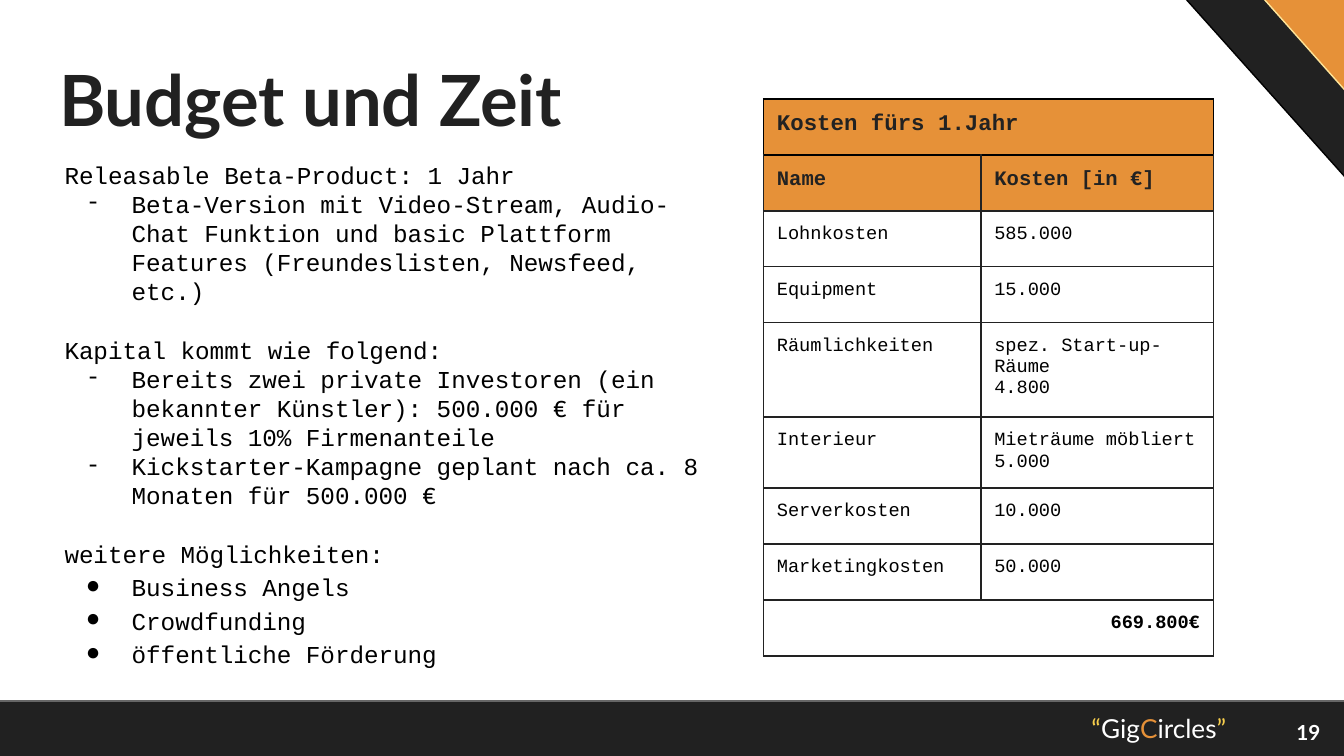
from pptx import Presentation
from pptx.dml.color import RGBColor
from pptx.enum.shapes import MSO_SHAPE
from pptx.enum.text import MSO_ANCHOR, MSO_AUTO_SIZE, PP_ALIGN
from pptx.oxml.ns import qn
from pptx.util import Pt
from lxml.etree import SubElement

DARK = RGBColor(0x21, 0x21, 0x21)
HEADER_TEXT = RGBColor(0x22, 0x22, 0x22)
GREY = RGBColor(0x66, 0x66, 0x66)
ORANGE = RGBColor(0xE6, 0x91, 0x38)
YELLOW = RGBColor(0xF6, 0xCD, 0x4C)
PALE_YELLOW = RGBColor(0xFF, 0xE5, 0x99)
WHITE = RGBColor(0xFF, 0xFF, 0xFF)
BLACK = RGBColor(0, 0, 0)
INSET = Pt(7.2)


def format_font(font, name, size, color, bold=False):
    font.name, font.size, font.bold = name, Pt(size), bold
    font.color.rgb = color


def set_frame(frame, anchor=MSO_ANCHOR.TOP):
    """Wrap the text and give the frame equal insets on all sides."""
    frame.word_wrap = True
    frame.auto_size = MSO_AUTO_SIZE.NONE
    frame.vertical_anchor = anchor
    frame.margin_left = frame.margin_right = INSET
    frame.margin_top = frame.margin_bottom = INSET


prs = Presentation()
prs.slide_width, prs.slide_height = Pt(720), Pt(405)
slide = prs.slides.add_slide(prs.slide_layouts[5])
shapes = slide.shapes

# Footer bar and the two diagonal corner bands
bands = [
    (-4.5, 375.6, 727, 31, 0, DARK, GREY),
    (515.5, 4.3, 319, 31.7, 48.2, DARK, BLACK),
    (612, -0.7, 221, 41, 48.4, ORANGE, PALE_YELLOW),
]
for left, top, width, height, angle, fill, outline in bands:
    band = shapes.add_shape(MSO_SHAPE.RECTANGLE, Pt(left), Pt(top), Pt(width), Pt(height))
    band.rotation = angle
    band.shadow.inherit = False
    band.fill.solid()
    band.fill.fore_color.rgb = fill
    band.line.color.rgb = outline
    band.line.width = Pt(0.75)

# Footer texts
footers = [
    (557, 378, 107, 24.5, 14, False,
     [("“", YELLOW), ("Gig", WHITE), ("C", ORANGE), ("ircles", WHITE), ("”", YELLOW)]),
    (671.5, 379.4, 43, 26, 11.1, True, [("19", WHITE)]),
]
for left, top, width, height, size, bold, parts in footers:
    footer = shapes.add_textbox(Pt(left), Pt(top), Pt(width), Pt(height)).text_frame
    set_frame(footer, MSO_ANCHOR.MIDDLE)
    paragraph = footer.paragraphs[0]
    paragraph.alignment = PP_ALIGN.RIGHT
    for text, color in parts:
        run = paragraph.add_run()
        run.text = text
        format_font(run.font, "Lato", size, color, bold)

# Title
title = shapes.title
title.left, title.top, title.width, title.height = Pt(24.5), Pt(23), Pt(671), Pt(63.4)
set_frame(title.text_frame)
title.text_frame.text = "Budget und Zeit"
heading = title.text_frame.paragraphs[0]
heading.alignment = PP_ALIGN.LEFT
format_font(heading.runs[0].font, "Lato", 37.8, DARK, True)

# Plan: headings with their bullet, line spacing and points
plan = [
    ("Releasable Beta-Product: 1 Jahr", "-", 1, [
        "Beta-Version mit Video-Stream, Audio-Chat Funktion und basic Plattform "
        "Features (Freundeslisten, Newsfeed, etc.)"]),
    ("Kapital kommt wie folgend:", "-", 1, [
        "Bereits zwei private Investoren (ein bekannter Künstler): 500.000 € für "
        "jeweils 10% Firmenanteile",
        "Kickstarter-Kampagne geplant nach ca. 8 Monaten für 500.000 €"]),
    ("weitere Möglichkeiten:", "●", 1.15, [
        "Business Angels", "Crowdfunding", "öffentliche Förderung"]),
]
body = shapes.add_textbox(Pt(27.5), Pt(78.5), Pt(366), Pt(287)).text_frame
set_frame(body)
for section, (topic, bullet, spacing, points) in enumerate(plan):
    paragraph = body.add_paragraph() if section else body.paragraphs[0]
    paragraph.text = topic
    if section:
        paragraph.space_before = Pt(15.6)
    for point in points:
        paragraph = body.add_paragraph()
        paragraph.text = point
        paragraph.line_spacing = spacing
        props = paragraph._p.get_or_add_pPr()
        props.set("marL", str(Pt(36)))
        props.set("indent", str(-Pt(24.5)))
        bullet_color = SubElement(props, qn("a:buClr"))
        SubElement(bullet_color, qn("a:srgbClr"), val=str(BLACK))
        SubElement(props, qn("a:buFont"), typeface="Courier New")
        SubElement(props, qn("a:buChar"), char=bullet)
for paragraph in body.paragraphs:
    format_font(paragraph.runs[0].font, "Courier New", 13, BLACK)

# Cost table
costs = [
    ("Kosten fürs 1.Jahr", ""),
    ("Name", "Kosten [in €]"),
    ("Lohnkosten", "585.000"),
    ("Equipment", "15.000"),
    ("Räumlichkeiten", "spez. Start-up-Räume\n4.800"),
    ("Interieur", "Mieträume möbliert\n5.000"),
    ("Serverkosten", "10.000"),
    ("Marketingkosten", "50.000"),
    ("669.800€", ""),
]
last = len(costs) - 1
row_heights = {4: 50.5, 5: 38}
sizes = {0: 12, 1: 11}
table = shapes.add_table(len(costs), 2, Pt(409), Pt(53), Pt(241), Pt(298.5)).table
table.columns[0].width, table.columns[1].width = Pt(116.5), Pt(124.5)
for r, texts in enumerate(costs):
    table.rows[r].height = Pt(row_heights.get(r, 30))
    is_header = r < 2
    for c, text in enumerate(texts):
        cell = table.cell(r, c)
        cell.margin_left = cell.margin_right = INSET
        cell.margin_top = cell.margin_bottom = INSET
        cell.text_frame.text = text
        for paragraph in cell.text_frame.paragraphs:
            if r == last:
                paragraph.alignment = PP_ALIGN.RIGHT
            format_font(paragraph.font, "Courier New", sizes.get(r, 10),
                        HEADER_TEXT if is_header else BLACK, is_header or r == last)
        props = cell._tc.get_or_add_tcPr()
        for side in ("a:lnL", "a:lnR", "a:lnT", "a:lnB"):
            border = SubElement(props, qn(side), w=str(Pt(0.75)))
            color = BLACK if r == 0 or (r == 1 and side == "a:lnT") else HEADER_TEXT
            SubElement(SubElement(border, qn("a:solidFill")), qn("a:srgbClr"), val=str(color))
        if is_header:
            cell.fill.solid()
            cell.fill.fore_color.rgb = ORANGE
        else:
            cell.fill.background()
for r in (0, last):
    table.cell(r, 0).merge(table.cell(r, 1))

prs.save("out.pptx")
